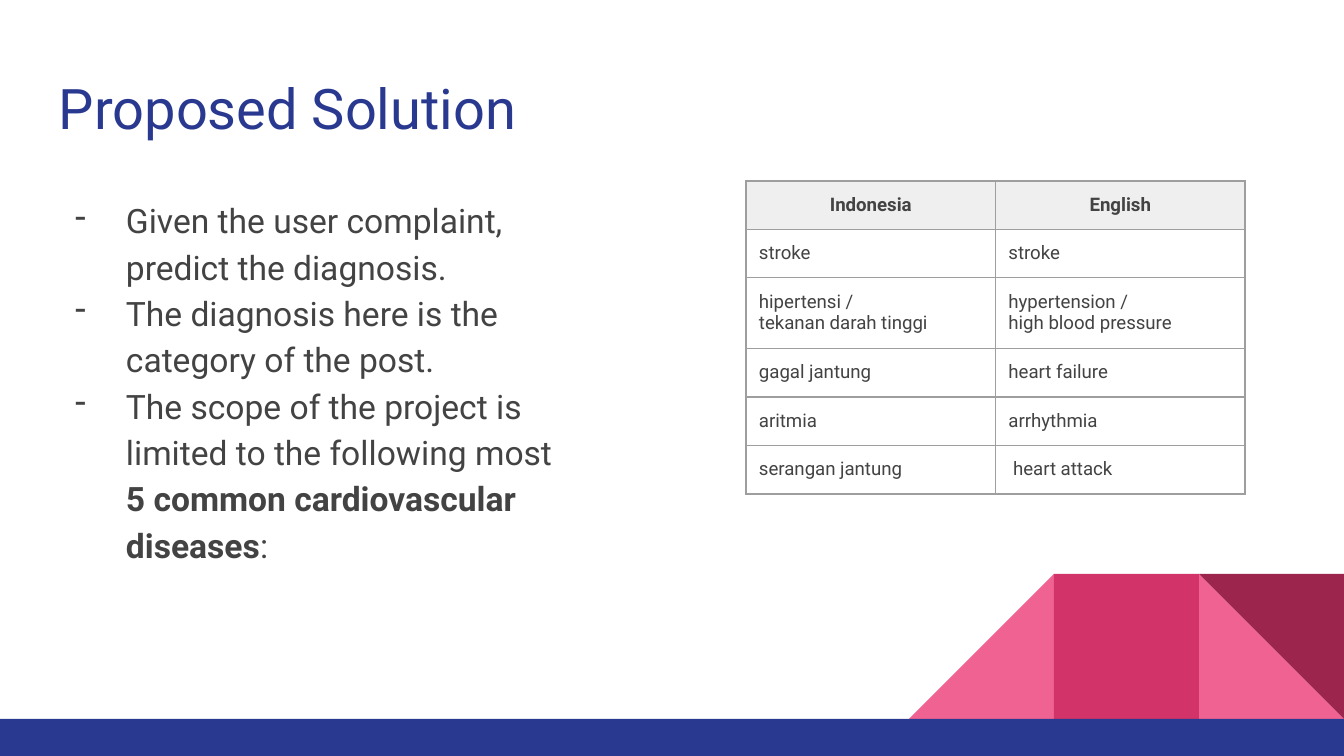
from lxml import etree
from pptx import Presentation
from pptx.dml.color import RGBColor
from pptx.enum.shapes import MSO_SHAPE
from pptx.enum.text import PP_ALIGN
from pptx.oxml.ns import qn
from pptx.util import Pt

RECT, WEDGE = MSO_SHAPE.RECTANGLE, MSO_SHAPE.RIGHT_TRIANGLE
LEFT, MID = PP_ALIGN.LEFT, PP_ALIGN.CENTER

NAVY = RGBColor(0x2A, 0x39, 0x90)
PINK = RGBColor(0xF0, 0x62, 0x92)
ROSE = RGBColor(0xD2, 0x33, 0x69)
WINE = RGBColor(0x9C, 0x25, 0x4D)
INK = RGBColor(0x43, 0x43, 0x43)
GREY = RGBColor(0x9E, 0x9E, 0x9E)
PALE = RGBColor(0xEF, 0xEF, 0xEF)
WHITE = RGBColor(0xFF, 0xFF, 0xFF)

SCALE = 914400 / 134.4
WIDE, HIGH = 1344, 756
PAD = 13
TITLE = {"name": "Roboto", "size": Pt(30), "bold": False}
BODY = {"name": "Roboto", "size": Pt(18), "bold": False}
HEAD = {"name": "Roboto", "size": Pt(10), "bold": True}
CELL = {**HEAD, "bold": False}
INSET = ("margin_left", "margin_top", "margin_right", "margin_bottom")

POINTS = [
    [("Given the user complaint, predict the diagnosis.", False)],
    [("The diagnosis here is the category of the post.", False)],
    [
        ("The scope of the project is limited to the following most ", False),
        ("5 common cardiovascular diseases", True),
        (":", False),
    ],
]
TERMS = [
    ("Indonesia", "English"),
    ("stroke", "stroke"),
    ("hipertensi /\ntekanan darah tinggi", "hypertension /\nhigh blood pressure"),
    ("gagal jantung", "heart failure"),
    ("aritmia", "arrhythmia"),
    ("serangan jantung", " heart attack"),
]


def px(num):
    """Turn pixels into EMU."""
    return round(num * SCALE)


def apply(item, form):
    """Set each attribute named in a dict."""
    for key, val in form.items():
        setattr(item, key, val)


def write(para, text, form, tint):
    """Add one styled run to a paragraph."""
    run = para.add_run()
    run.text = text
    apply(run.font, form)
    run.font.color.rgb = tint


def block(slide, kind, box, tint, turn=0):
    """Draw one flat shape."""
    shape = slide.shapes.add_shape(kind, *map(px, box))
    apply(shape, {"rotation": turn})
    shape.shadow.inherit = False
    shape.fill.solid()
    shape.fill.fore_color.rgb = tint
    shape.line.fill.background()


def frame(slide, box):
    """Add a wrapping text box and return its frame."""
    text = slide.shapes.add_textbox(*map(px, box)).text_frame
    apply(text, {"word_wrap": True, **dict.fromkeys(INSET, px(PAD))})
    return text


def decor(slide, box):
    """Draw the folded ribbon, three squares wide, and the base bar."""
    left, top, side, base = box
    parts = [
        (2, WEDGE, PINK, 0),
        (0, WEDGE, PINK, 270),
        (1, RECT, ROSE, 0),
        (2, WEDGE, WINE, 180),
    ]
    for col, kind, tint, turn in parts:
        block(slide, kind, (left + col * side, top, side, side), tint, turn)
    foot = top + side
    block(slide, RECT, (0, foot, WIDE, base), NAVY)


def title(slide, box):
    """Write the slide title."""
    write(frame(slide, box).paragraphs[0], "Proposed Solution", TITLE, NAVY)


def dash(para):
    """Give a paragraph a hanging dash."""
    props = para._p.get_or_add_pPr()
    props.set("marL", str(px(67)))
    props.set("indent", str(-px(51)))
    tint = etree.SubElement(props, qn("a:buClr"))
    etree.SubElement(tint, qn("a:srgbClr"), val=str(INK))
    etree.SubElement(props, qn("a:buChar"), char="-")
    para.line_spacing = 1.15


def points(slide, box):
    """Write the dashed list."""
    text = frame(slide, box)
    for num, runs in enumerate(POINTS):
        para = text.add_paragraph() if num else text.paragraphs[0]
        dash(para)
        for words, bold in runs:
            write(para, words, {**BODY, "bold": bold}, INK)


def border(cell):
    """Rule all four sides of a cell."""
    props = cell._tc.get_or_add_tcPr()
    for side in "LRTB":
        line = etree.SubElement(props, qn(f"a:ln{side}"), w=str(Pt(0.75)))
        fill = etree.SubElement(line, qn("a:solidFill"))
        etree.SubElement(fill, qn("a:srgbClr"), val=str(GREY))


def terms(slide, box):
    """Draw the table of disease names."""
    size = len(TERMS), len(TERMS[0])
    grid = slide.shapes.add_table(*size, *map(px, box)).table
    apply(grid, {"first_row": False, "horz_banding": False})
    for row, names in enumerate(TERMS):
        tall = any("\n" in name for name in names)
        grid.rows[row].height = px(70 if tall else 48)
        form, back, side = (CELL, WHITE, LEFT) if row else (HEAD, PALE, MID)
        for col, name in enumerate(names):
            cell = grid.cell(row, col)
            apply(cell, dict.fromkeys(INSET, px(PAD)))
            border(cell)
            cell.fill.solid()
            cell.fill.fore_color.rgb = back
            text = cell.text_frame
            for num, words in enumerate(name.split("\n")):
                para = text.add_paragraph() if num else text.paragraphs[0]
                para.alignment = side
                write(para, words, form, INK)


def main():
    """Build and save the slide."""
    deck = Presentation()
    apply(deck, {"slide_width": px(WIDE), "slide_height": px(HIGH)})
    slide = deck.slides.add_slide(deck.slide_layouts[6])
    decor(slide, (909, 574, 145, 37))
    title(slide, (46, 61, 1252, 89))
    points(slide, (46, 181, 527, 491))
    terms(slide, (746, 181, 499, 310))
    deck.save("out.pptx")


if __name__ == "__main__":
    main()
